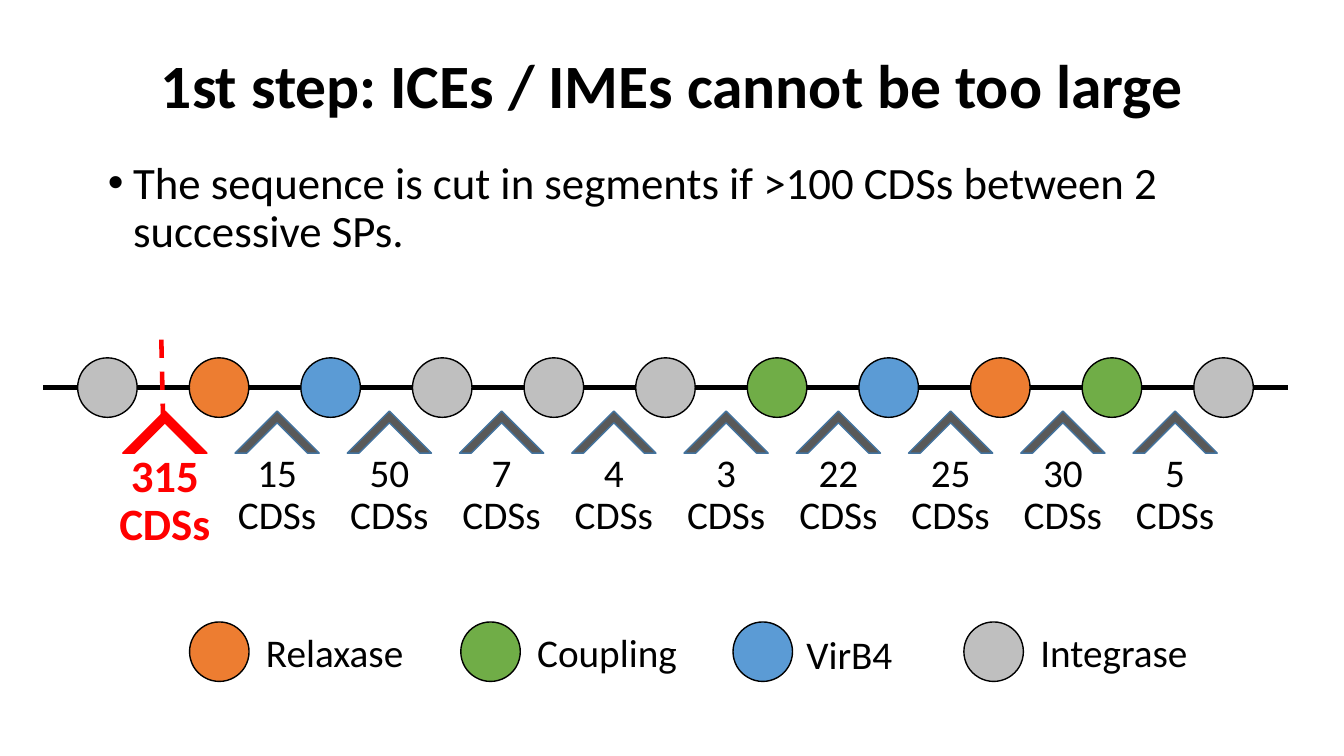
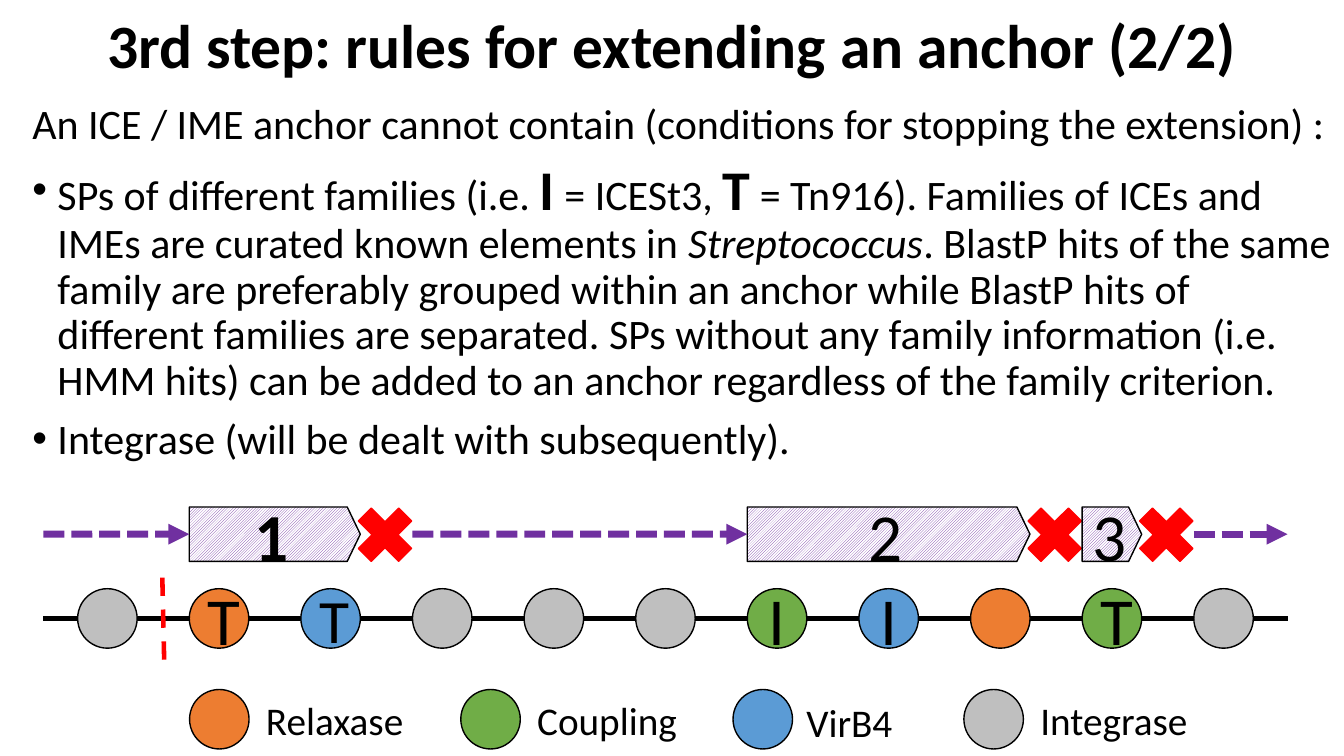
from lxml import etree
from pptx import Presentation
from pptx.dml.color import RGBColor
from pptx.enum import dml, shapes, text
from pptx.oxml.ns import qn
from pptx.util import Inches, Pt

# Colours and shared style
BLACK = RGBColor(0x00, 0x00, 0x00)
WHITE = RGBColor(0xFF, 0xFF, 0xFF)
RED = RGBColor(0xFF, 0x00, 0x00)
PURPLE = RGBColor(0x70, 0x30, 0xA0)
SLATE = RGBColor(0x59, 0x59, 0x59)
NAVY = RGBColor(0x43, 0x73, 0x9E)
ORANGE = RGBColor(0xED, 0x7D, 0x31)
GREEN = RGBColor(0x70, 0xAD, 0x47)
BLUE = RGBColor(0x5B, 0x9B, 0xD5)
GREY = RGBColor(0xBF, 0xBF, 0xBF)
FONT = "Calibri"
KIND = shapes.MSO_SHAPE
CENTER = text.PP_ALIGN.CENTER

# Content
TINTS = {"Relaxase": ORANGE, "Coupling": GREEN, "VirB4": BLUE, "Integrase": GREY}
LEGEND = [("Relaxase", 1.88), ("Coupling", 4.57), ("VirB4", 7.27), ("Integrase", 9.56)]
GENES = ["Integrase", "Relaxase", "VirB4", "Integrase", "Integrase", "Integrase",
         "Coupling", "VirB4", "Relaxase", "Coupling", "Integrase"]
COUNTS = [315, 15, 50, 7, 4, 3, 22, 25, 30, 5]
LIMIT = 100
FAMILIES = {1: ("T", 48), 2: ("T", 44), 6: ("I", 48), 7: ("I", 48), 9: ("T", 48)}
ANCHORS = [("1", 1, 2, True), ("2", 6, 8, False), ("3", 9, 9, False)]

CUT_TITLE = "1st step: ICEs / IMEs cannot be too large"
CUT_BODY = [(True, [
    ("The sequence is cut in segments if >100 CDSs between 2 successive SPs.", {})])]
RULE_TITLE = "3rd step: rules for extending an anchor (2/2)"
BIG = dict(size=40, bold=True)
RULE_BODY = [
    (False, [("An ICE / IME anchor cannot contain "
              "(conditions for stopping the extension) :", {})]),
    (True, [
        ("SPs of different families (i.e. ", {}), ("I", BIG),
        (" = ICESt3, ", {}), ("T", BIG),
        (" = Tn916). Families of ICEs and IMEs are curated known elements in ", {}),
        ("Streptococcus", dict(italic=True)),
        (". BlastP hits of the same family are preferably grouped within an anchor "
         "while BlastP hits of different families are separated. SPs without any "
         "family information (i.e. HMM hits) can be added to an anchor regardless "
         "of the family criterion.", {})]),
    (True, [("Integrase (will be dealt with subsequently).", {})]),
]

# Geometry in inches
DOT = 0.59
LEFT, RIGHT = 0.43, 12.77


def gene_x(i):
    return 0.77 + i * (11.84 - 0.77) / (len(GENES) - 1)


def gap_x(i):
    return 1.34 + i * (11.36 - 1.34) / (len(COUNTS) - 1)


def write(shape, paras, size=28, color=BLACK, bold=False, align=None,
          spacing=0.9, anchor=text.MSO_ANCHOR.TOP):
    """Fill a shape with a string, or with (bullet, runs) paragraphs."""
    if isinstance(paras, str):
        paras = [(None, [(paras, {})])]
    frame = shape.text_frame
    frame.word_wrap = True
    frame.auto_size = text.MSO_AUTO_SIZE.NONE
    frame.vertical_anchor = anchor
    for n, (bullet, runs) in enumerate(paras):
        para = frame.add_paragraph() if n else frame.paragraphs[0]
        if bullet is not None:
            props = para._p.get_or_add_pPr()
            indent = Inches(0.25) if bullet else 0
            props.set("marL", str(indent))
            props.set("indent", str(-indent))
            if bullet:
                etree.SubElement(props, qn("a:buFont")).set("typeface", "Arial")
                etree.SubElement(props, qn("a:buChar")).set("char", "•")
            else:
                etree.SubElement(props, qn("a:buNone"))
        para.alignment = align
        para.line_spacing = spacing
        para.space_before = Pt(10 if n else 0)
        for words, look in runs:
            run = para.add_run()
            run.text = words
            font = run.font
            font.name = FONT
            font.size = Pt(look.get("size", size))
            font.bold = look.get("bold", bold)
            font.italic = look.get("italic", False)
            font.color.rgb = color


def place(shape, *box):
    shape.left, shape.top, shape.width, shape.height = map(Inches, box)
    return shape


def label(slide, words, *box, **look):
    write(slide.shapes.add_textbox(*map(Inches, box)), words, **look)


def draw(slide, kind, *box, fill=None, line=BLACK):
    shape = slide.shapes.add_shape(kind, *map(Inches, box))
    shape.shadow.inherit = False
    if fill is not None:
        shape.fill.solid()
        shape.fill.fore_color.rgb = fill
    shape.line.color.rgb = line
    shape.line.width = Pt(1)
    return shape


def rule(slide, *ends, color=BLACK, width=3.5, dash=None, arrow=False):
    line = slide.shapes.add_connector(shapes.MSO_CONNECTOR.STRAIGHT, *map(Inches, ends))
    line.line.color.rgb = color
    line.line.width = Pt(width)
    if dash:
        line.line.dash_style = dash
    if arrow:
        etree.SubElement(line.line._get_or_add_ln(), qn("a:tailEnd")).set("type", "triangle")
    etree.SubElement(line._element.spPr, qn("a:effectLst"))
    return line


def cut(slide, x, top):
    rule(slide, x, top, x + 0.02, top + 0.89, color=RED, width=3.25,
         dash=dml.MSO_LINE.DASH)


def new_slide(deck, title, depth, body, box, size):
    slide = deck.slides.add_slide(deck.slide_layouts[1])
    head, main = slide.placeholders
    write(place(head, 0.92, 0, 11.5, depth), title, size=44, bold=True,
          align=CENTER, anchor=text.MSO_ANCHOR.MIDDLE)
    write(place(main, *box), body, size=size)
    return slide


def genome(slide, top, marks):
    """Draw the line of genes, with optional family letters."""
    rule(slide, LEFT, top + DOT / 2, RIGHT, top + DOT / 2)
    for i, gene in enumerate(GENES):
        dot = draw(slide, KIND.OVAL, gene_x(i), top, DOT, DOT, fill=TINTS[gene])
        if i in marks:
            mark, size = marks[i]
            write(dot, mark, size=size, align=CENTER, spacing=1.0,
                  anchor=text.MSO_ANCHOR.MIDDLE)


def legend(slide, top):
    for name, x in LEGEND:
        draw(slide, KIND.OVAL, x, top, DOT, DOT, fill=TINTS[name])
        drop, shift = (0.09, 0.63) if name == "VirB4" else (0.07, 0.66)
        label(slide, name, x + shift, top + drop, 1.86, 0.62)


def cut_slide(deck):
    slide = new_slide(deck, CUT_TITLE, 1.76, CUT_BODY, (0.97, 1.54, 11.84, 1.32), 32)
    genome(slide, 3.55, {})
    # Gap markers and their counts
    for i, count in enumerate(COUNTS):
        far = count > LIMIT
        x = gap_x(i)
        label(slide, f"{count} CDSs", x - 0.28, 4.45, 1.15, 1.03, align=CENTER,
              size=32 if far else 28, bold=far, color=RED if far else BLACK)
        roof = draw(slide, KIND.HALF_FRAME, x, 4.2, DOT, DOT,
                    fill=RED if far else SLATE, line=RED if far else NAVY)
        roof.adjustments[0] = roof.adjustments[1] = 0.14
        roof.rotation = 45
    cut(slide, 1.6, 3.37)
    legend(slide, 6.17)


def rule_slide(deck):
    slide = new_slide(deck, RULE_TITLE, 0.96, RULE_BODY, (0.22, 0.97, 13.11, 3.86), 30)
    genome(slide, 5.84, FAMILIES)
    legend(slide, 6.84)
    # Anchors, each with a stop cross and the arrow that leads to it
    mid, start = 5.3, LEFT
    dash = dict(color=PURPLE, width=5, dash=dml.MSO_LINE.SQUARE_DOT, arrow=True)
    for name, first, last, bold in ANCHORS:
        x, end = gene_x(first), gene_x(last) + DOT
        plate = draw(slide, KIND.PENTAGON, x, mid - 0.27, end - x, 0.54)
        plate.adjustments[0] = 0.24
        plate.fill.patterned()
        plate.fill.pattern = dml.MSO_PATTERN.DARK_UPWARD_DIAGONAL
        plate.fill.fore_color.rgb = PURPLE
        plate.fill.back_color.rgb = WHITE
        write(plate, name, size=48, bold=bold, align=CENTER, spacing=1.0,
              anchor=text.MSO_ANCHOR.MIDDLE)
        if x - start > 1:
            rule(slide, start, mid, x, mid, **dash).end_connect(plate, 1)
        draw(slide, KIND.MATH_MULTIPLY, end - 0.14, mid - 0.38, 0.77, 0.77,
             fill=RED, line=RED)
        start = gene_x(last + 1)
    rule(slide, start, mid, RIGHT, mid, **dash)
    cut(slide, 1.61, 5.73)


def main():
    deck = Presentation()
    deck.slide_width, deck.slide_height = Inches(13.33), Inches(7.5)
    cut_slide(deck)
    rule_slide(deck)
    deck.save("out.pptx")


if __name__ == "__main__":
    main()
